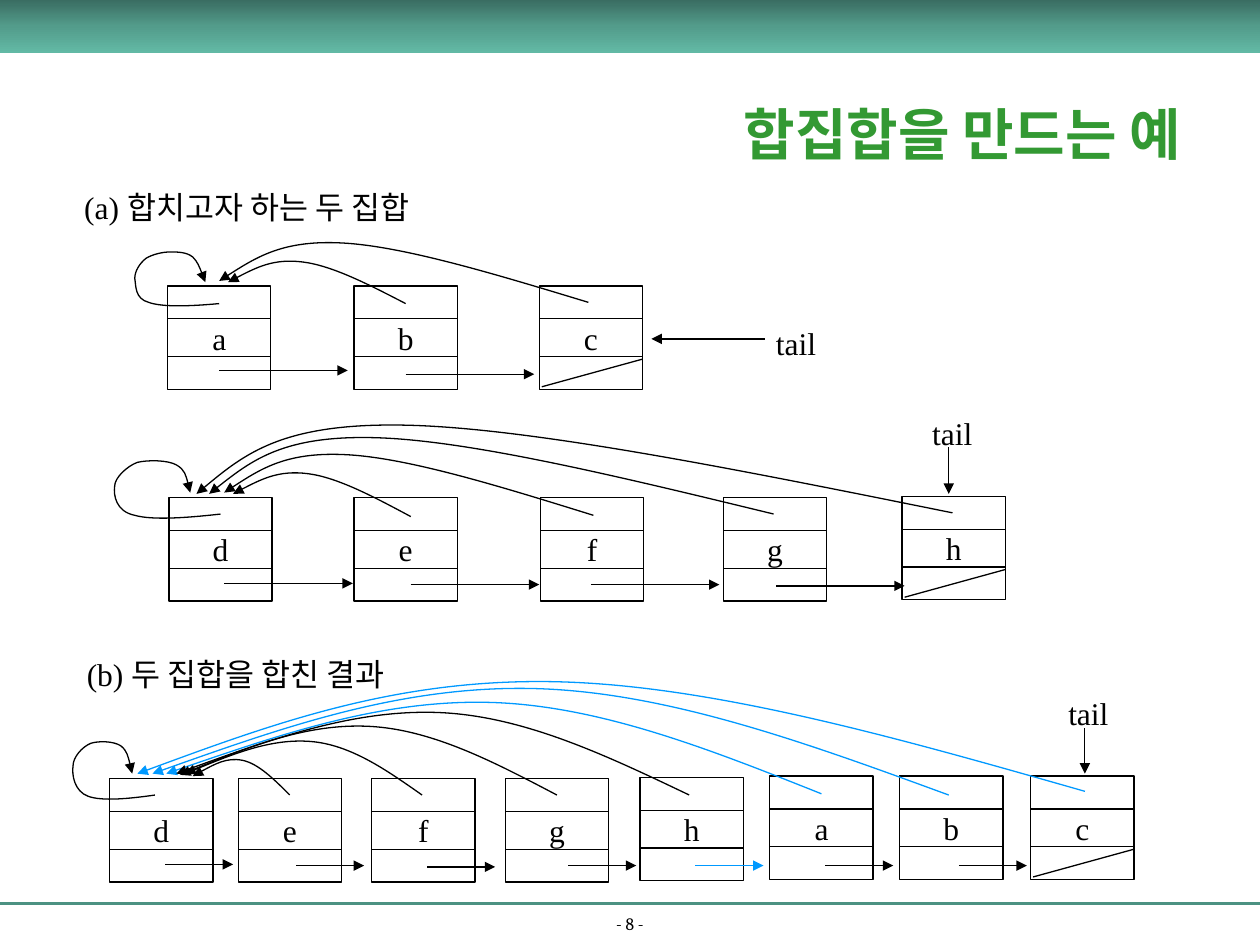
import copy
from dataclasses import dataclass
from typing import Any, NamedTuple

import lxml.etree
import pptx
import pptx.dml.color
import pptx.enum.shapes
import pptx.enum.text
import pptx.oxml.ns
import pptx.util

Inches = pptx.util.Inches
Color = pptx.dml.color.RGBColor
Align = pptx.enum.text.PP_ALIGN
Anchor = pptx.enum.text.MSO_ANCHOR
AutoSize = pptx.enum.text.MSO_AUTO_SIZE
Shape = pptx.enum.shapes.MSO_SHAPE
qn = pptx.oxml.ns.qn
Point = tuple[float, float]


@dataclass(frozen=True)
class Theme:
    black: str = "000000"
    blue: str = "0099FF"
    title: str = "339933"
    rule: str = "4C9282"
    band: tuple[str, ...] = ("3A6D62", "539C8B", "62B9A5")
    serif: str = "Times New Roman"
    heading: str = "Cambria"
    title_size: int = 32
    body_size: int = 18
    page_size: int = 10
    thin: float = 0.75
    thick: float = 1.5


class Node(NamedTuple):
    name: str
    left: float
    top: float


class Arrow(NamedTuple):
    start: Point
    end: Point
    color: str


class Arc(NamedTuple):
    start: Point
    first_bend: Point
    second_bend: Point
    end: Point
    color: str


class Label(NamedTuple):
    text: str
    left: float
    top: float
    width: float
    wrap: bool


THEME = Theme()
BLACK, BLUE = THEME.black, THEME.blue
SIDE = 0.82

CHAINS = [
    [Node("a", 1.33, 2.27), Node("b", 2.81, 2.27), Node("c", 4.28, 2.27)],
    [Node("d", 1.34, 3.95), Node("e", 2.81, 3.95), Node("f", 4.29, 3.95),
     Node("g", 5.74, 3.95), Node("h", 7.16, 3.94)],
    [Node("d", 0.87, 6.18), Node("e", 1.89, 6.18), Node("f", 2.95, 6.18),
     Node("g", 4.01, 6.18), Node("h", 5.08, 6.17), Node("a", 6.11, 6.16),
     Node("b", 7.14, 6.16), Node("c", 8.18, 6.16)],
]

LINKS = [
    *(Arrow((x, y), (x + 1.02, y), BLACK) for x, y in (
        (1.74, 2.94), (3.22, 2.97),
        (1.78, 4.63), (3.26, 4.64), (4.69, 4.64), (6.16, 4.65))),
    *(Arrow((x, y), (x + 0.54, y), color) for x, y, color in (
        (1.31, 6.86, BLACK), (2.35, 6.87, BLACK), (3.39, 6.88, BLACK),
        (4.51, 6.87, BLACK), (5.52, 6.87, BLUE), (6.55, 6.87, BLACK),
        (7.61, 6.87, BLACK))),
    Arrow((6.07, 2.69), (5.17, 2.69), BLACK),
    Arrow((7.53, 3.55), (7.53, 3.92), BLACK),
    Arrow((8.61, 5.78), (8.61, 6.14), BLACK),
]

ARCS = [
    Arc((3.22, 2.41), (2.64, 2.11), (2.17, 2.05), (1.81, 2.24), BLACK),
    Arc((4.67, 2.40), (3.22, 1.96), (2.25, 1.90), (1.74, 2.23), BLACK),
    Arc((3.26, 4.10), (2.68, 3.79), (2.21, 3.73), (1.85, 3.92), BLACK),
    Arc((4.71, 4.09), (3.26, 3.64), (2.28, 3.58), (1.78, 3.91), BLACK),
    Arc((6.14, 4.08), (3.75, 3.50), (2.25, 3.45), (1.66, 3.92), BLACK),
    Arc((7.56, 4.07), (4.24, 3.40), (2.24, 3.35), (1.56, 3.92), BLACK),
    Arc((8.61, 6.28), (5.63, 5.43), (3.12, 5.39), (1.09, 6.14), BLUE),
    Arc((7.53, 6.31), (5.29, 5.49), (3.18, 5.44), (1.21, 6.14), BLUE),
    Arc((6.52, 6.30), (4.76, 5.60), (3.03, 5.55), (1.32, 6.14), BLUE),
    Arc((5.47, 6.31), (4.15, 5.68), (2.80, 5.63), (1.40, 6.14), BLACK),
    Arc((4.42, 6.31), (3.43, 5.79), (2.43, 5.74), (1.43, 6.15), BLACK),
    Arc((3.35, 6.31), (2.78, 5.91), (2.15, 5.86), (1.47, 6.14), BLACK),
    Arc((2.30, 6.31), (2.05, 6.06), (1.80, 6.01), (1.53, 6.16), BLACK),
]

SELF_LOOPS: list[list[Point]] = [
    [(1.74, 2.41), (1.52, 2.43), (1.29, 2.44), (1.18, 2.4),
     (1.07, 2.37), (1.08, 2.27), (1.07, 2.21), (1.07, 2.15), (1.11, 2.09), (1.16, 2.05),
     (1.21, 2.02), (1.29, 2), (1.35, 2), (1.41, 2), (1.48, 2), (1.53, 2.04),
     (1.57, 2.08), (1.6, 2.16), (1.63, 2.24)],
    [(1.75, 4.08), (1.48, 4.11), (1.21, 4.13), (1.07, 4.09),
     (0.92, 4.06), (0.9, 3.93), (0.91, 3.86), (0.91, 3.79), (1.01, 3.7), (1.09, 3.67),
     (1.17, 3.65), (1.33, 3.65), (1.4, 3.69), (1.47, 3.73), (1.49, 3.82), (1.51, 3.91)],
    [(1.23, 6.31), (1.02, 6.34), (0.81, 6.36), (0.7, 6.32),
     (0.59, 6.28), (0.57, 6.15), (0.58, 6.08), (0.58, 6.01), (0.65, 5.93), (0.72, 5.9),
     (0.78, 5.88), (0.9, 5.88), (0.96, 5.92), (1.01, 5.96), (1.03, 6.05), (1.05, 6.14)],
]

LABELS = [
    Label("tail", 6.06, 2.52, 0.52, False),
    Label("tail", 7.30, 3.24, 0.52, False),
    Label("tail", 8.38, 5.46, 0.52, False),
    Label("(a) 합치고자 하는 두 집합", 0.57, 1.44, 3.71, True),
    Label("(b) 두 집합을 합친 결과", 0.59, 5.15, 2.95, True),
]


def apply(target: Any, values: dict[str, Any]) -> None:
    for name, value in values.items():
        setattr(target, name, value)


def write(box: Any, text: str, align: Any, frame_format: dict[str, Any],
          font: str = THEME.serif, size: int = THEME.body_size,
          color: str = BLACK, bold: bool = False) -> None:
    apply(box.text_frame, frame_format)
    para = box.text_frame.paragraphs[0]
    para.alignment = align
    span = para.add_run()
    span.text = text
    apply(span.font, {"name": font, "size": pptx.util.Pt(size), "bold": bold})
    span.font.color.rgb = Color.from_string(color)


def style_line(shape: Any, color: str, width: float = THEME.thin, arrow: bool = False) -> None:
    shape.line.color.rgb = Color.from_string(color)
    shape.line.width = pptx.util.Pt(width)
    if arrow:
        outline = shape.element.xpath(".//a:ln")[0]
        lxml.etree.SubElement(outline, qn("a:tailEnd"), type="triangle")


def draw_line(page: Any, start: Point, end: Point, color: str = BLACK,
              width: float = THEME.thin, arrow: bool = False) -> None:
    line = page.shapes.add_connector(pptx.enum.shapes.MSO_CONNECTOR.STRAIGHT,
                                     *(Inches(value) for value in (*start, *end)))
    style_line(line, color, width, arrow)
    lxml.etree.SubElement(line.element.spPr, qn("a:effectLst"))


def draw_curve(page: Any, points: list[Point], color: str) -> None:
    corners = [(Inches(x), Inches(y)) for x, y in points]
    builder = page.shapes.build_freeform(*corners[0])
    builder.add_line_segments(corners[1:], close=False)
    curve = builder.convert_to_shape()
    curve.fill.background()
    curve.shadow.inherit = False
    style_line(curve, color, arrow=True)
    segments = curve.element.xpath(".//a:lnTo")
    for index in range(0, len(segments), 3):
        trio = segments[index:index + 3]
        bezier = lxml.etree.SubElement(trio[0].getparent(), qn("a:cubicBezTo"))
        for segment in trio:
            bezier.append(segment[0])
            segment.getparent().remove(segment)


def middle(one: Point, other: Point) -> Point:
    return (one[0] + other[0]) / 2, (one[1] + other[1]) / 2


def draw_arc(page: Any, arc: Arc) -> None:
    start, first, second, end, color = arc
    draw_curve(page, [start, middle(start, first), first, middle(first, second),
                      second, middle(second, end), end], color)


def draw_node(page: Any, node: Node, last: bool) -> None:
    box = page.shapes.add_shape(Shape.RECTANGLE, Inches(node.left), Inches(node.top),
                                Inches(SIDE), Inches(SIDE))
    box.fill.background()
    box.shadow.inherit = False
    style_line(box, BLACK)
    write(box, node.name, Align.CENTER, {"word_wrap": False, "vertical_anchor": Anchor.MIDDLE})
    right = node.left + SIDE
    for drop in (0.26, 0.56):
        draw_line(page, (node.left, node.top + drop), (right, node.top + drop))
    if last:
        draw_line(page, (right, node.top + 0.58), (node.left + 0.02, node.top + 0.8))


def draw_frame(page: Any) -> None:
    draw_line(page, (0, 7.17), (10, 7.17), THEME.rule, THEME.thick)
    number = page.shapes.add_textbox(0, Inches(7.24), Inches(10), Inches(0.22))
    write(number, "- 8 -", Align.CENTER, {"word_wrap": True, "vertical_anchor": Anchor.BOTTOM},
          THEME.heading, THEME.page_size)
    band = page.shapes.add_shape(Shape.RECTANGLE, 0, 0, Inches(10), Inches(0.42))
    band.shadow.inherit = False
    band.line.fill.background()
    band.fill.gradient()
    band.fill.gradient_angle = 270
    stops = band.element.xpath(".//a:gsLst")[0]
    stops.insert(1, copy.deepcopy(stops[0]))
    for stop, color, position in zip(band.fill.gradient_stops, THEME.band, (0, 0.5, 1)):
        stop.color.rgb = Color.from_string(color)
        stop.position = position


deck = pptx.Presentation()
apply(deck, {"slide_width": Inches(10), "slide_height": Inches(7.5)})
page = deck.slides.add_slide(deck.slide_layouts[5])
draw_frame(page)
title = page.shapes.title
apply(title, {"left": Inches(5.28), "top": Inches(0.53),
              "width": Inches(4.72), "height": Inches(1.06)})
write(title, "합집합을 만드는 예", Align.CENTER,
      {"word_wrap": True, "vertical_anchor": Anchor.MIDDLE, "auto_size": AutoSize.NONE},
      THEME.heading, THEME.title_size, THEME.title, True)
for chain in CHAINS:
    for node in chain:
        draw_node(page, node, node is chain[-1])
for link in LINKS:
    draw_line(page, link.start, link.end, link.color, arrow=True)
for arc in ARCS:
    draw_arc(page, arc)
for loop in SELF_LOOPS:
    draw_curve(page, loop, BLACK)
for label in LABELS:
    box = page.shapes.add_textbox(Inches(label.left), Inches(label.top),
                                  Inches(label.width), Inches(0.4))
    write(box, label.text, Align.LEFT,
          {"word_wrap": label.wrap, "auto_size": AutoSize.SHAPE_TO_FIT_TEXT})
deck.save("out.pptx")
